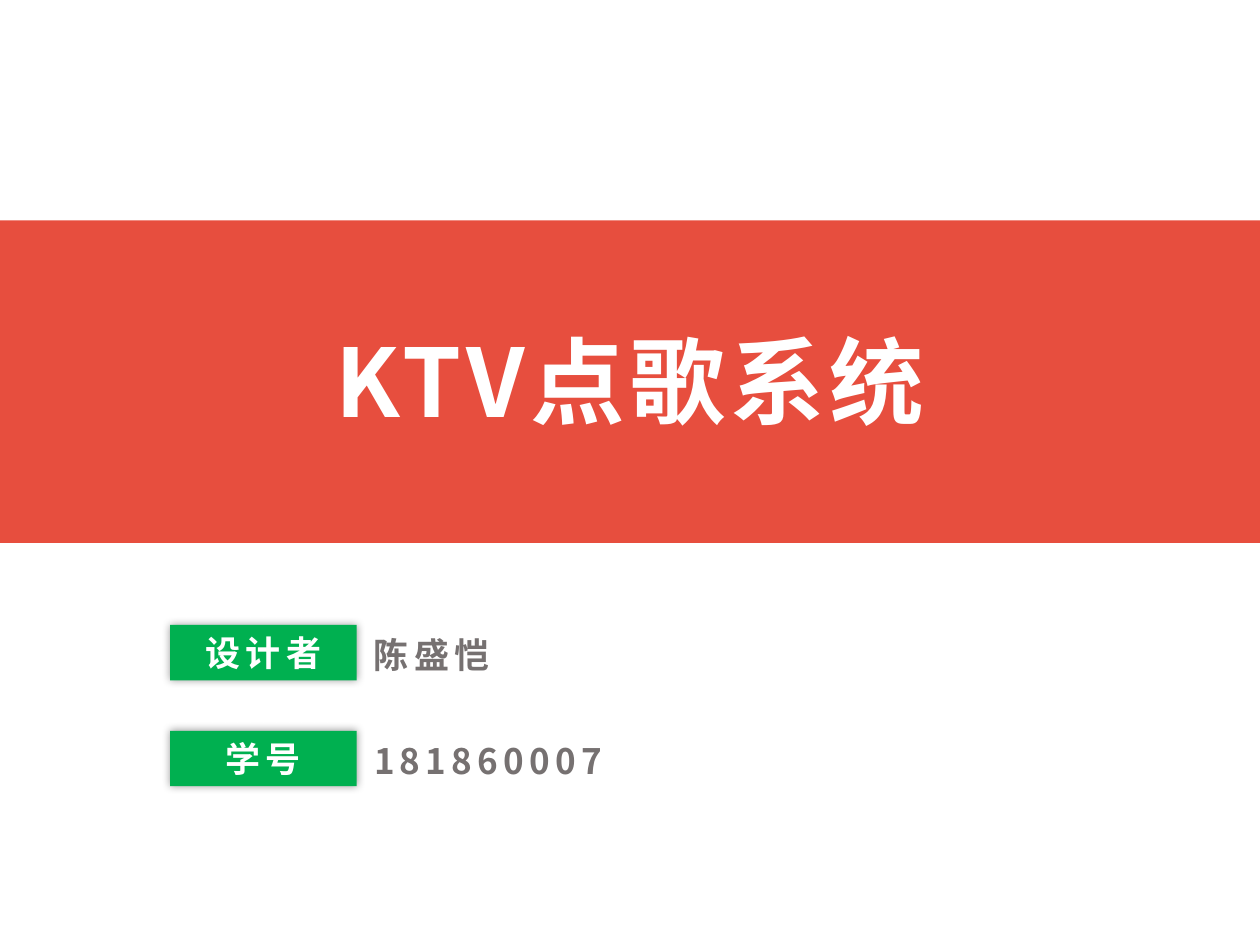
from lxml import etree
from pptx import Presentation
from pptx.dml.color import RGBColor
from pptx.enum.shapes import MSO_SHAPE
from pptx.enum.text import MSO_ANCHOR, MSO_AUTO_SIZE, PP_ALIGN
from pptx.oxml.ns import qn
from pptx.util import Inches, Pt

RECT = MSO_SHAPE.RECTANGLE
TOP, MIDDLE = MSO_ANCHOR.TOP, MSO_ANCHOR.MIDDLE
LEFT, CENTER = PP_ALIGN.LEFT, PP_ALIGN.CENTER
GROW = MSO_AUTO_SIZE.SHAPE_TO_FIT_TEXT

WHITE = RGBColor(0xFF, 0xFF, 0xFF)
RED = RGBColor(0xE7, 0x4E, 0x3E)
GREEN = RGBColor(0x00, 0xB0, 0x50)
GRAY = RGBColor(0x76, 0x71, 0x71)
FONT = "Noto Sans CJK SC"


def write(frame, text, size, color, align, anchor):
    """Fill a text frame with one bold, letter-spaced run."""
    frame.vertical_anchor = anchor
    para = frame.paragraphs[0]
    para.alignment = align
    run = para.add_run()
    run.text = text
    font = run.font
    font.name, font.size, font.bold = FONT, Pt(size), True
    font.color.rgb = color
    props = font._element
    props.set("spc", "300")
    etree.SubElement(props, qn("a:ea"), typeface=FONT)


def add_rect(slide, box, color):
    rect = slide.shapes.add_shape(RECT, *map(Inches, box))
    rect.shadow.inherit = False
    rect.fill.solid()
    rect.fill.fore_color.rgb = color
    rect.line.fill.background()
    return rect


def add_glow(shape):
    """Give the shape a soft, centred shadow."""
    effects = shape._element.spPr.find(qn("a:effectLst"))
    outer = etree.SubElement(effects, qn("a:outerShdw"), blurRad=str(Pt(5)),
                             dist="0", dir="0", algn="ctr", rotWithShape="0")
    black = etree.SubElement(outer, qn("a:srgbClr"), val="000000")
    etree.SubElement(black, qn("a:alpha"), val="40000")


def add_banner(slide, box, text):
    left, top, width, height = box
    band = add_rect(slide, box, RED)
    title = slide.shapes.title
    title._element.addprevious(band._element)  # band goes behind the title
    title.left, title.top = Inches(left + 1.16), Inches(top + 0.76)
    title.width, title.height = Inches(width - 2.32), Inches(1.01)
    frame = title.text_frame
    frame.word_wrap = True
    frame.auto_size = GROW
    write(frame, text, 54, WHITE, CENTER, TOP)


def add_field(slide, box, label, value, width):
    left, top, tag_w, height = box
    # Green label
    tag = add_rect(slide, box, GREEN)
    add_glow(tag)
    write(tag.text_frame, label, 20, WHITE, CENTER, MIDDLE)
    # Value beside it
    note = slide.shapes.add_textbox(Inches(left + tag_w + 0.04),
                                    Inches(top + 0.02),
                                    Inches(width), Inches(height))
    frame = note.text_frame
    frame.word_wrap = True
    frame.auto_size = GROW
    write(frame, value, 20, GRAY, LEFT, TOP)


def main():
    deck = Presentation()
    deck.slide_width, deck.slide_height = Inches(10), Inches(7.5)
    slide = deck.slides.add_slide(deck.slide_layouts[5])
    add_banner(slide, (0, 1.75, 10, 2.56), "KTV点歌系统")
    fields = [("设计者", "陈盛恺", 1.77), ("学号", "181860007", 2.75)]
    for row, (label, value, width) in enumerate(fields):
        box = (1.35, 4.96 + row * 0.84, 1.48, 0.44)
        add_field(slide, box, label, value, width)
    deck.save("out.pptx")


if __name__ == "__main__":
    main()
